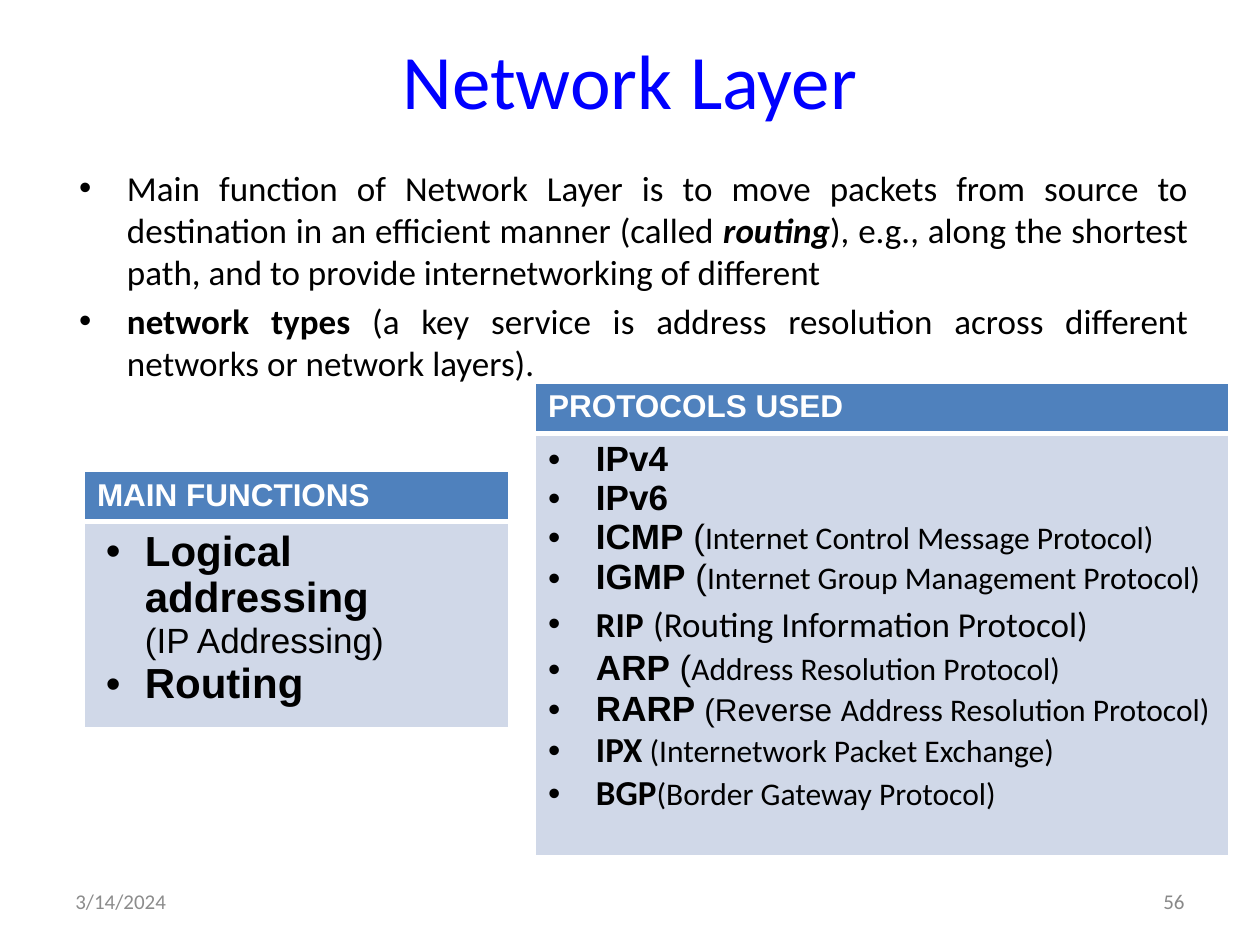
from collections import namedtuple

from lxml.etree import SubElement
from pptx import Presentation
from pptx.dml.color import RGBColor
from pptx.enum.text import MSO_ANCHOR, PP_ALIGN
from pptx.oxml.ns import qn
from pptx.util import Emu, Inches, Pt

COLORS = {
    "title": "0000FF", "text": "000000", "white": "FFFFFF",
    "header": "4F81BD", "panel": "D0D8E8", "date": "8C8C8C", "number": "898989",
}

# The slide is a grid of 40 columns and 30 rows
CELL = Inches(0.25)
COLUMNS, ROWS = 40, 30
Box = namedtuple("Box", "left top width height")
Run = namedtuple("Run", "text size font bold italic", defaults=("Calibri", False, False))

INTRO = [
    [Run("Main function of Network Layer is to move packets from source to destination "
         "in an efficient manner (called ", 20),
     Run("routing", 20, bold=True, italic=True),
     Run("), e.g., along the shortest path, and to provide internetworking of different", 20)],
    [Run("network types ", 20, bold=True),
     Run("(a key service is address resolution across different networks "
         "or network layers).", 20)],
]


def arial_protocol(name, meaning):
    return [Run(name, 20, "Arial", True), Run(" (", 20, "Arial"), Run(meaning + ")", 18)]


def calibri_protocol(name, meaning):
    return [Run(name, 20, bold=True), Run(meaning, 18)]


PROTOCOLS = [
    [Run("IPv4", 20, "Arial", True)],
    [Run("IPv6", 20, "Arial", True)],
    arial_protocol("ICMP", "Internet Control Message Protocol"),
    arial_protocol("IGMP", "Internet Group Management Protocol"),
    [Run("RIP", 20, bold=True), Run(" ", 24), Run("(Routing Information Protocol)", 20)],
    arial_protocol("ARP", "Address Resolution Protocol"),
    [Run("RARP ", 20, "Arial", True), Run("(Reverse ", 18, "Arial"),
     Run("Address Resolution Protocol)", 18)],
    calibri_protocol("IPX", " (Internetwork Packet Exchange)"),
    calibri_protocol("BGP", "(Border Gateway Protocol)"),
]

FUNCTIONS = [
    [Run("Logical addressing \n", 24, "Arial", True), Run("(IP Addressing)", 20, "Arial")],
    [Run("Routing", 24, "Arial", True)],
]


def rgb(name):
    return RGBColor.from_string(COLORS[name])


def grid(box):
    return [Emu(round(share * CELL)) for share in box]


def add_runs(paragraph, runs, color):
    for item in runs:
        run = paragraph.add_run()
        run.text = item.text.rstrip("\n")
        run.font.size = Pt(item.size)
        run.font.name = item.font
        run.font.bold = item.bold
        run.font.italic = item.italic
        run.font.color.rgb = rgb(color)
        if item.text.endswith("\n"):
            paragraph.add_line_break()


def add_bullets(frame, items, hanging=0.38, align=PP_ALIGN.LEFT, gap=0):
    for index, runs in enumerate(items):
        paragraph = frame.add_paragraph() if index else frame.paragraphs[0]
        properties = paragraph._p.get_or_add_pPr()
        properties.set("marL", str(Inches(0.38)))
        properties.set("indent", str(-Inches(hanging)))
        SubElement(properties, qn("a:buFont"), typeface="Arial")
        SubElement(properties, qn("a:buChar"), char="•")
        paragraph.alignment = align
        if index:
            paragraph.space_before = Pt(gap)
        add_runs(paragraph, runs, "text")


def set_borders(cell, widths):
    properties = cell._tc.get_or_add_tcPr()
    for index, (side, points) in enumerate(widths.items()):
        line = SubElement(properties, qn(f"a:ln{side}"), w=str(Pt(points)))
        fill = SubElement(line, qn("a:solidFill"))
        SubElement(fill, qn("a:srgbClr"), val=COLORS["white"])
        properties.remove(line)
        properties.insert(index, line)  # borders come before the fill


def add_title(slide, box, text):
    title = slide.shapes.title
    title.left, title.top, title.width, title.height = grid(box)
    title.text_frame.vertical_anchor = MSO_ANCHOR.MIDDLE
    paragraph = title.text_frame.paragraphs[0]
    paragraph.alignment = PP_ALIGN.CENTER
    add_runs(paragraph, [Run(text, 44)], "title")


def add_text_frame(slide, box):
    frame = slide.shapes.add_textbox(*grid(box)).text_frame
    frame.word_wrap = True
    return frame


def add_intro(slide, box):
    add_bullets(add_text_frame(slide, box), INTRO, align=PP_ALIGN.JUSTIFY, gap=4)


def add_panel(slide, box, heading, items, hanging, header_rows=1.6):
    table = slide.shapes.add_table(2, 1, *grid(box)).table
    for row, height in zip(table.rows, grid((header_rows, box.height - header_rows))):
        row.height = height
    header, body = table.cell(0, 0), table.cell(1, 0)
    for cell, color in ((header, "header"), (body, "panel")):
        cell.fill.solid()
        cell.fill.fore_color.rgb = rgb(color)
    set_borders(header, {"L": 1, "R": 1, "T": 1, "B": 3})
    set_borders(body, {"L": 1, "R": 1, "T": 3, "B": 1})
    add_runs(header.text_frame.paragraphs[0], [Run(heading, 18, "Arial", True)], "white")
    add_bullets(body.text_frame, items, hanging)


def add_footer(slide, box, text, align, color):
    frame = add_text_frame(slide, box)
    frame.vertical_anchor = MSO_ANCHOR.MIDDLE
    frame.paragraphs[0].alignment = align
    add_runs(frame.paragraphs[0], [Run(text, 12)], color)


def main():
    presentation = Presentation()
    presentation.slide_width = COLUMNS * CELL
    presentation.slide_height = ROWS * CELL
    slide = presentation.slides.add_slide(presentation.slide_layouts[5])

    # Title and introduction
    add_title(slide, Box(2, 0, 36, 5), "Network Layer")
    add_intro(slide, Box(2.12, 5.08, 36, 19.8))

    # Protocols and functions
    add_panel(slide, Box(17, 12.16, 22, 15), "PROTOCOLS USED", PROTOCOLS, hanging=0.38)
    add_panel(slide, Box(2.68, 14.96, 13.48, 8.04), "MAIN FUNCTIONS", FUNCTIONS, hanging=0.31)

    # Date and slide number
    add_footer(slide, Box(2, 27.8, 9.32, 1.6), "3/14/2024", PP_ALIGN.LEFT, "date")
    add_footer(slide, Box(28.68, 27.8, 9.32, 1.6), "56", PP_ALIGN.RIGHT, "number")

    presentation.save("out.pptx")


if __name__ == "__main__":
    main()
